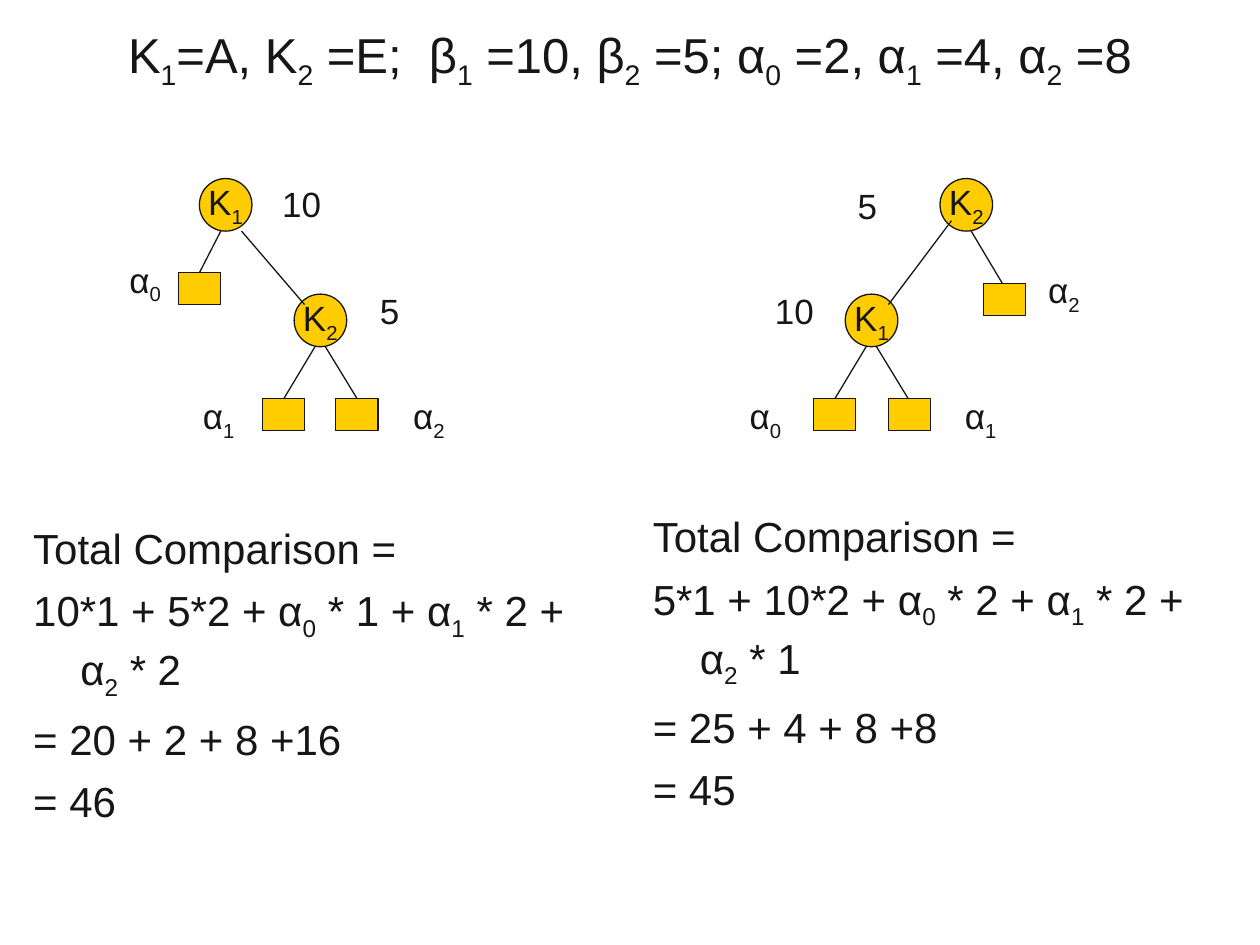
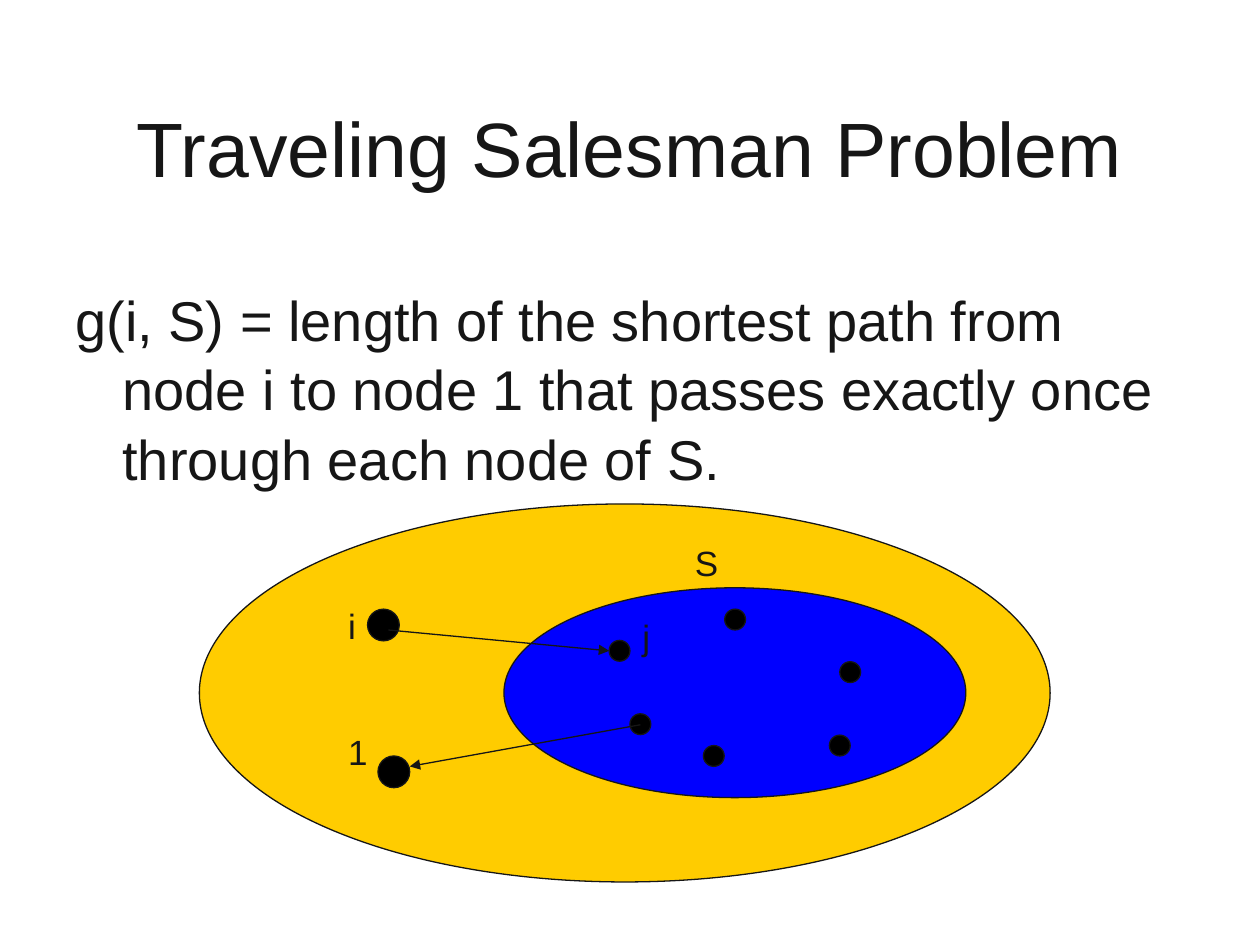
"""Build two slides: comparing search trees and the traveling salesman problem."""
from lxml.etree import SubElement
from pptx import Presentation
from pptx.dml.color import RGBColor
from pptx.enum.shapes import MSO_CONNECTOR, MSO_SHAPE
from pptx.enum.text import MSO_ANCHOR, PP_ALIGN
from pptx.oxml.ns import qn
from pptx.util import Cm, Pt

HUES = {"ink": "161616", "gold": "FFCC00", "blue": "0000FF", "black": "000000"}
TITLE = {"alignment": PP_ALIGN.CENTER}
BODY = {"line_spacing": 1.035}
OVAL, RECT = MSO_SHAPE.OVAL, MSO_SHAPE.RECTANGLE


def tone(name):
    """Return the named colour."""
    return RGBColor.from_string(HUES[name])


def write(frame, lines, size, look, hang=0, gap=0):
    """Fill a frame with lines; the sign after each underscore is a subscript."""
    font = {"name": "Arial", "size": Pt(size)}
    for row, line in enumerate(lines):
        para = frame.add_paragraph() if row else frame.paragraphs[0]
        for key, value in look.items():
            setattr(para, key, value)
        if row:
            para.space_before = Pt(gap)
        if hang:
            props = para._p.get_or_add_pPr()
            props.set("marL", str(Cm(hang)))
            props.set("indent", str(-Cm(hang)))
        first, *rest = line.split("_")
        parts = [(first, False)]
        for part in rest:
            parts += [(part[0], True), (part[1:], False)]
        for text, sub in parts:
            if not text:
                continue
            run = para.add_run()
            run.text = text
            for key, value in font.items():
                setattr(run.font, key, value)
            run.font.color.rgb = tone("ink")
            if sub:
                run._r.get_or_add_rPr().set("baseline", "-25000")


deck = Presentation()
deck.slide_width, deck.slide_height = Cm(25.4), Cm(19.05)
trees, tour = [deck.slides.add_slide(deck.slide_layouts[6]) for _ in range(2)]

titles = [
    (trees, 0.42, 1.48, 28, "K_1=A, K_2 =E;  β_1 =10, β_2 =5; α_0 =2, α_1 =4, α_2 =8"),
    (tour, 1.06, 3.81, 44, "Traveling Salesman Problem"),
]
for slide, top, high, size, text in titles:
    frame = slide.shapes.add_textbox(Cm(1.27), Cm(top), Cm(22.86), Cm(high)).text_frame
    frame.word_wrap = True
    frame.vertical_anchor = MSO_ANCHOR.MIDDLE
    write(frame, [text], size, TITLE)

bodies = [
    (trees, (0.42, 2.96, 12.07, 14.39), 7.54, 24, [
        "Total Comparison =",
        "10*1 + 5*2 + α_0 * 1 + α_1 * 2 + α_2 * 2",
        "= 20 + 2 + 8 +16",
        "= 46"]),
    (trees, (12.91, 2.96, 11.85, 14.39), 7.3, 24, [
        "Total Comparison =",
        "5*1 + 10*2 + α_0 * 2 + α_1 * 2 + α_2 * 1",
        "= 25 + 4 + 8 +8",
        "= 45"]),
    (tour, (1.27, 5.5, 22.86, 11.43), 0.22, 32, [
        "g(i, S) = length of the shortest path from node i to node 1 "
        "that passes exactly once through each node of S."]),
]
for slide, box, inset, size, lines in bodies:
    frame = slide.shapes.add_textbox(*map(Cm, box)).text_frame
    frame.word_wrap = True
    frame.margin_top = Cm(inset)
    write(frame, lines, size, BODY, hang=0.95, gap=6)

keys = [("K_2", 5.93, 5.93), ("K_1", 4.02, 3.6), ("K_1", 17.04, 5.93), ("K_2", 18.95, 3.6)]
leaves = [(5.29, 8.04), (6.77, 8.04), (3.6, 5.5), (19.82, 5.72), (17.91, 8.04), (16.4, 8.04)]
ends = [(7.41, 12.28), (7.62, 15.24)]
stops = [(12.28, 12.91), (14.61, 12.28), (16.93, 13.34),
         (16.72, 14.82), (14.18, 15.03), (12.7, 14.39)]
forms = [(trees, OVAL, "gold", (x, y, 1.06, 1.06), text) for text, x, y in keys]
forms += [(trees, RECT, "gold", (x, y, 0.85, 0.64), "") for x, y in leaves]
forms += [(tour, OVAL, "gold", (4.02, 10.16, 17.15, 7.62), ""),
          (tour, OVAL, "blue", (10.16, 11.85, 9.31, 4.23), "")]
forms += [(tour, OVAL, "black", (x, y, 0.64, 0.64), "") for x, y in ends]
forms += [(tour, OVAL, "black", (x, y, 0.42, 0.42), "") for x, y in stops]
for slide, kind, fill, box, text in forms:
    form = slide.shapes.add_shape(kind, *map(Cm, box))
    form.shadow.inherit = False
    form.fill.solid()
    form.fill.fore_color.rgb = tone(fill)
    form.line.color.rgb = tone("ink")
    form.line.width = Pt(0.75)
    if text:
        form.text_frame.word_wrap = False
        form.text_frame.vertical_anchor = MSO_ANCHOR.MIDDLE
        write(form.text_frame, [text], 20, TITLE)

links = [
    (trees, 4.45, 4.66, 4.02, 5.5),
    (trees, 4.87, 4.66, 6.14, 6.14),
    (trees, 6.35, 6.99, 5.72, 8.04),
    (trees, 6.56, 6.99, 7.2, 8.04),
    (trees, 19.58, 4.66, 20.21, 5.72),
    (trees, 17.67, 6.99, 18.31, 8.04),
    (trees, 17.46, 6.99, 16.83, 8.04),
    (trees, 17.91, 6.14, 19.18, 4.45),
    (tour, 7.83, 12.7, 12.28, 13.12),
    (tour, 12.91, 14.61, 8.26, 15.45),
]
for slide, *span in links:
    link = slide.shapes.add_connector(MSO_CONNECTOR.STRAIGHT, *map(Cm, span))
    link.line.color.rgb = tone("ink")
    link.line.width = Pt(0.75)
    if slide is tour:
        SubElement(link.line._get_or_add_ln(), qn("a:tailEnd"), type="triangle")
    SubElement(link._element.spPr, qn("a:effectLst"))

labels = [
    (trees, "10", 5.44, 3.56, 1.3),
    (trees, "5", 17.04, 3.6, 0.89),
    (trees, "10", 15.37, 5.72, 1.3),
    (trees, "5", 7.41, 5.72, 0.89),
    (trees, "α_0", 2.36, 5.08, 1.15),
    (trees, "α_2", 20.88, 5.29, 1.15),
    (trees, "α_2", 8.08, 7.83, 1.15),
    (trees, "α_1", 3.84, 7.83, 1.15),
    (trees, "α_1", 19.2, 7.83, 1.15),
    (trees, "α_0", 14.86, 7.83, 1.15),
    (tour, "i", 6.77, 12.07, 0.66),
    (tour, "S", 13.76, 10.8, 0.97),
    (tour, "1", 6.77, 14.61, 0.89),
    (tour, "j", 12.7, 12.28, 0.66),
]
for slide, text, left, top, wide in labels:
    high = 1.22 if "_" in text else 1.12
    frame = slide.shapes.add_textbox(Cm(left), Cm(top), Cm(wide), Cm(high)).text_frame
    frame.word_wrap = False
    write(frame, [text], 20, {})

deck.save("out.pptx")
